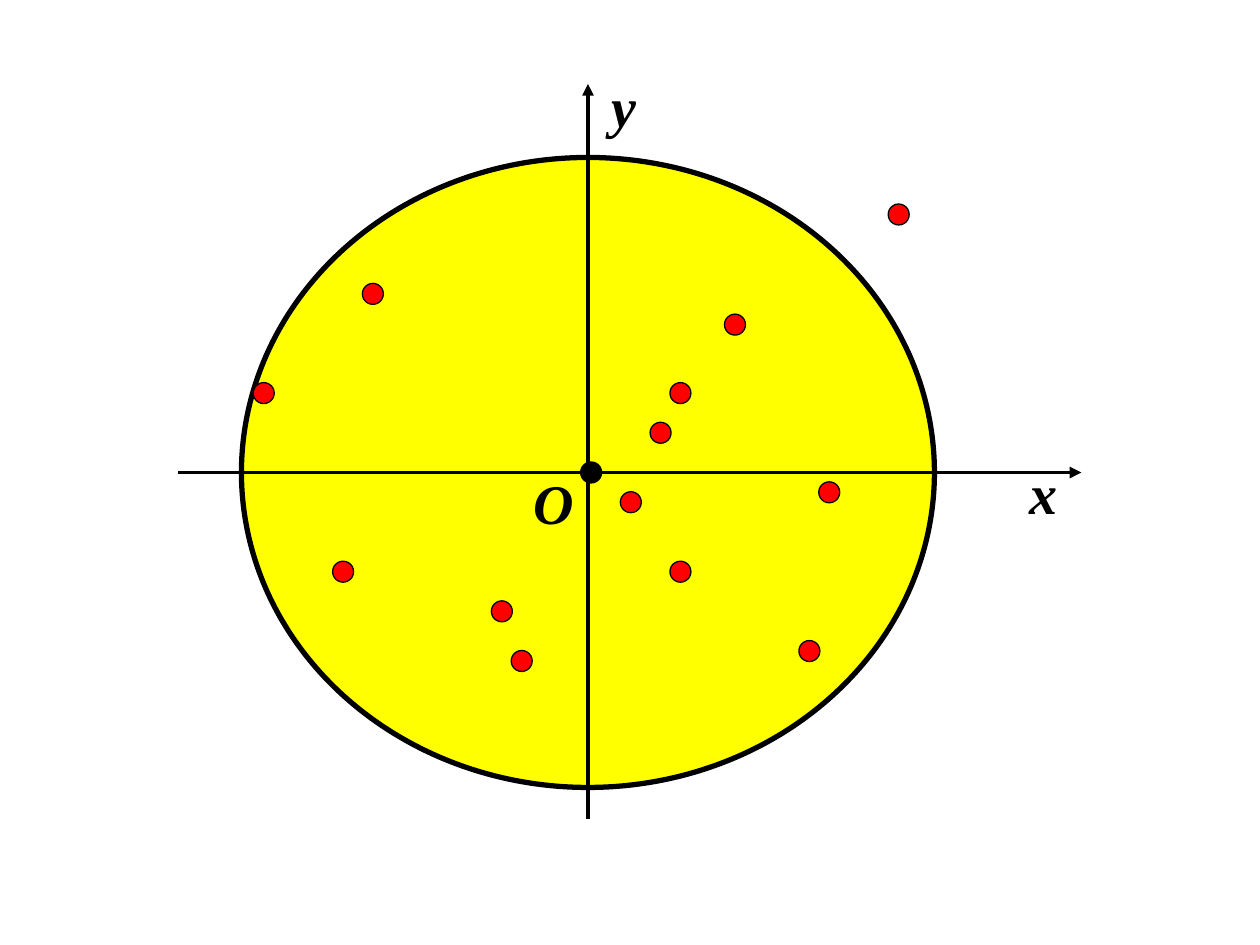
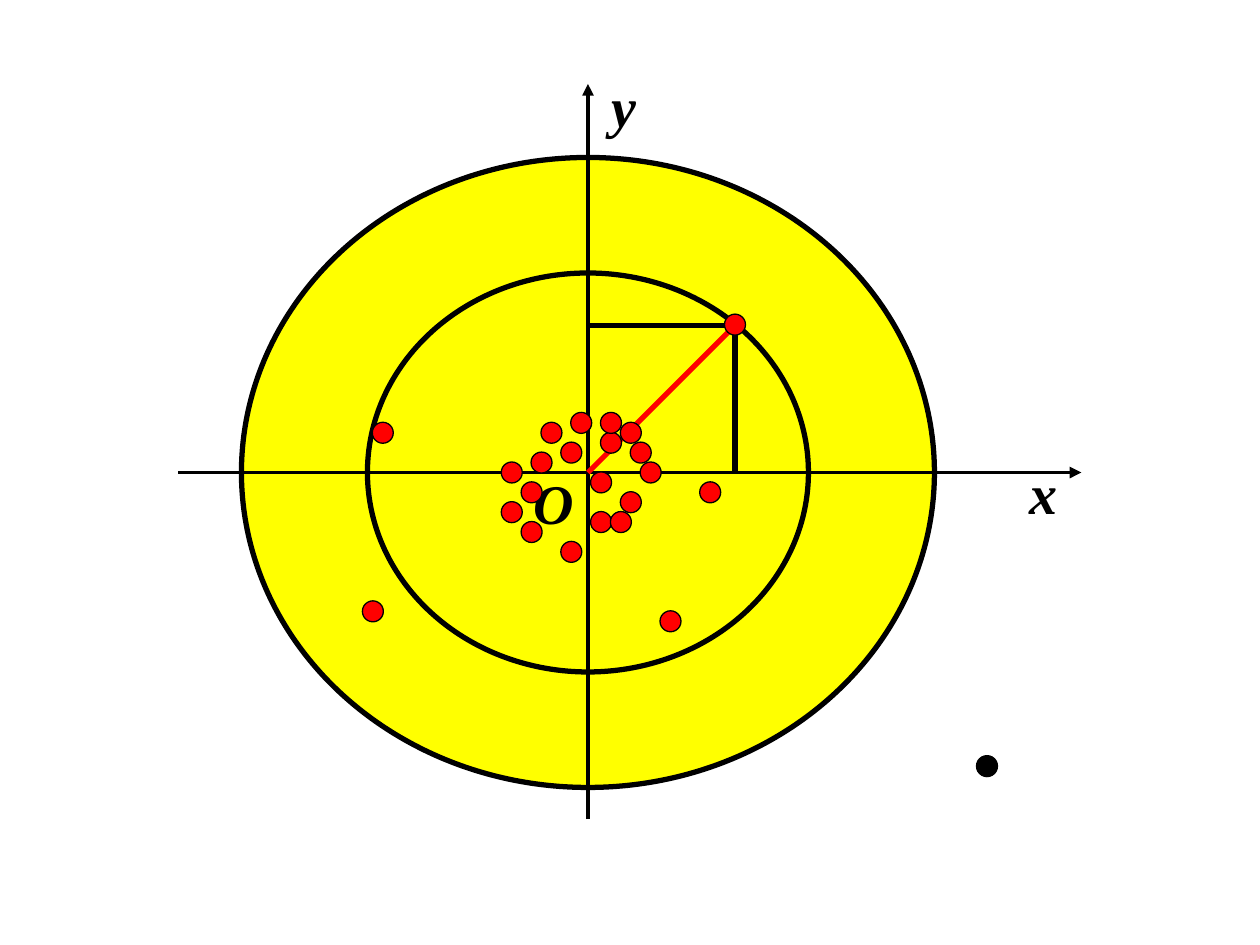
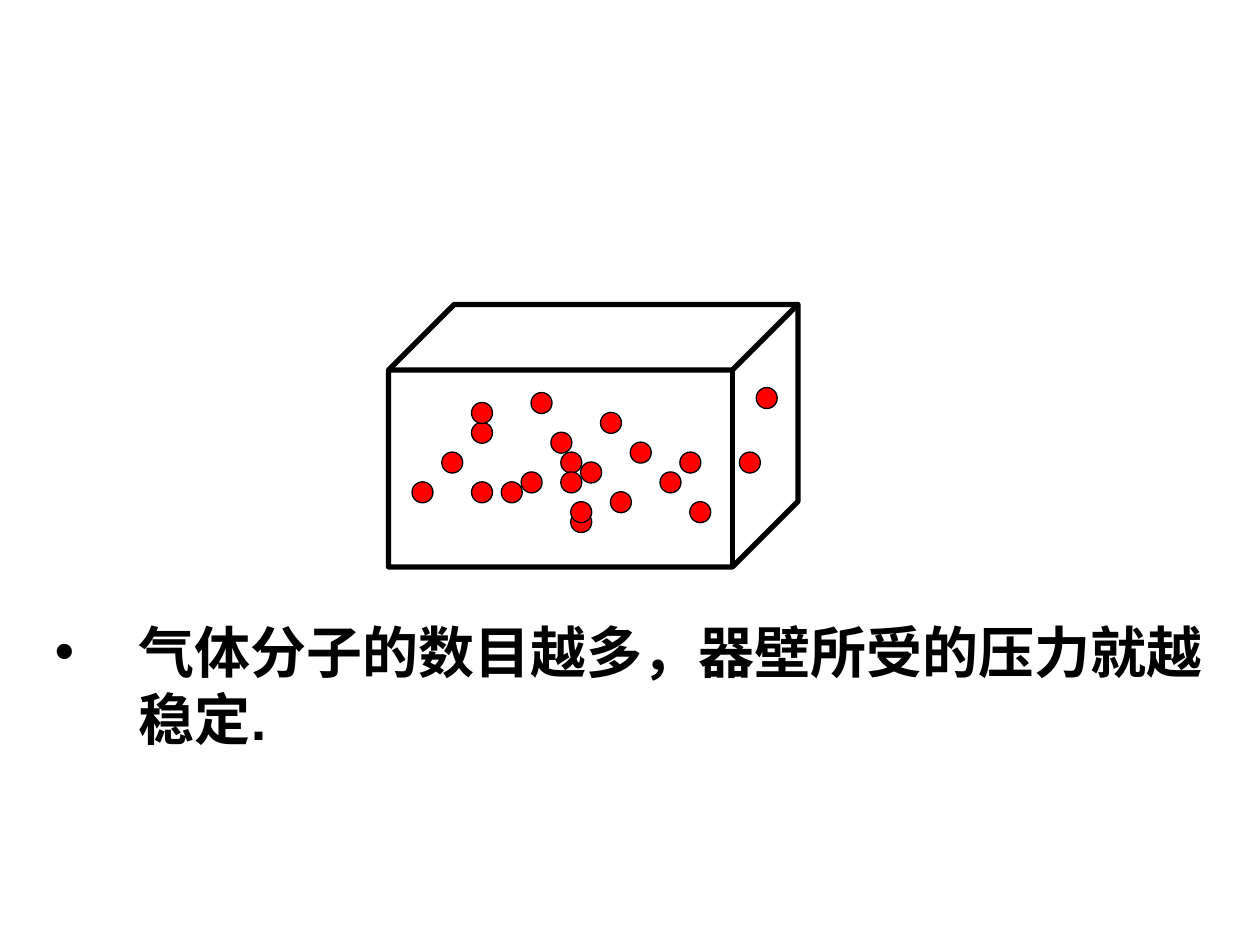
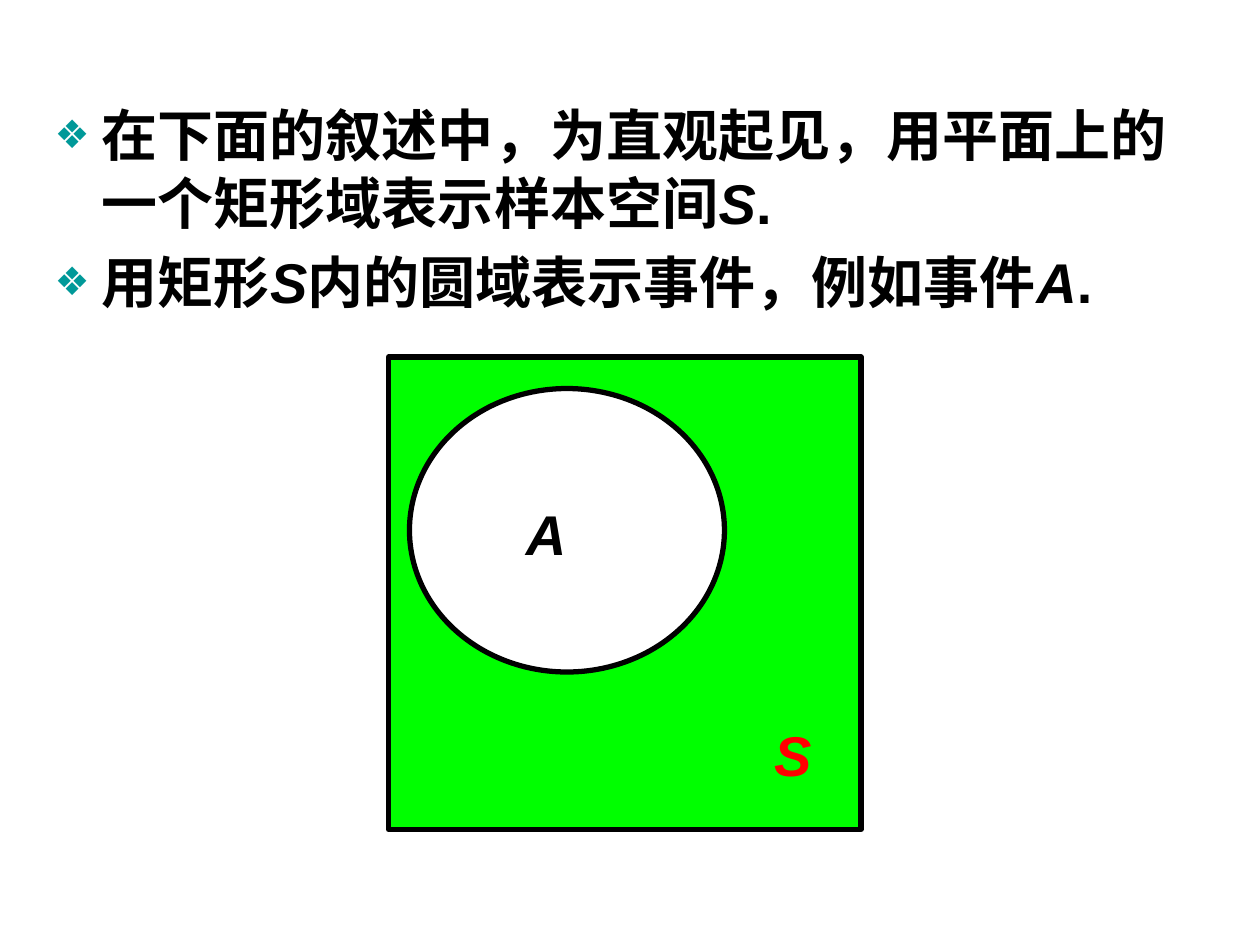
from lxml import etree
from pptx import Presentation
from pptx import util as u
from pptx.dml.color import RGBColor
from pptx.enum import shapes as sh, text as tx
from pptx.oxml import ns

COLORS = {
    "black": "000000", "white": "FFFFFF", "red": "FF0000",
    "yellow": "FFFF00", "green": "00FF00", "teal": "009999",
}
SERIF, SANS, CJK = "Times New Roman", "Arial", "Noto Sans CJK SC"
COLS, ROWS = 120, 90
CELL = u.Inches(10) / COLS
DOT_STEP = u.Cm(0.2)
DOT_ORIGIN = (55.3, 44)
LIST_LEFT, LIST_WIDTH = 4, 112

PLANE = (17, 8, 86, 70)
CORNER = (14.5, -14.9)
SCATTERED = [
    (9, -8), (7, -4), (24, 2), (-25, 10), (22, 18), (-22, -18), CORNER,
    (-33, -8), (31, -26), (4, 3), (-7, 19), (9, 10), (-9, 14),
]
CLUSTERED = [
    CORNER, (4, -4), (6, 0), (-2, -2), (4, 3), (-2, 8), (-6, 6), (1, 1),
    (-6, 2), (-5, -1), (1, 5), (3, 5), (-1, -5), (2, -3), (-4, -4), (5, -2),
    (-8, 4), (-8, 0), (2, -5), (-22, 14), (12, 2), (-21, -4), (8, 15),
]
MOLECULES = [
    (17.7, -7.5), (16, -1), (10, -1), (-6, 1), (2, -5), (-3, -3), (-5, -7),
    (5, -2), (8, 1), (11, 4), (0, 0), (3, 3), (-11, -4), (-2, -1), (-11, 2),
    (-2, 1), (-1, 5), (-8, 2), (-17, 2), (-14, -1), (-1, 4), (-11, -6),
]


def grid(*cells):
    """Turn grid cells into lengths."""
    return [u.Emu(round(c * CELL)) for c in cells]


def rgb(name):
    """Look up a named colour."""
    return RGBColor.from_string(COLORS[name])


def add_xml(parent, tag, **attrs):
    """Append a drawing element with its attributes."""
    return etree.SubElement(parent, ns.qn(tag), attrs)


def add_run(p, text, font=SANS, size=32, color="black", bold=True, italic=False):
    """Add a formatted run to a paragraph."""
    r = p.add_run()
    r.text = text
    f = r.font
    f.size, f.bold, f.italic = u.Pt(size), bold, italic
    f.color.rgb = rgb(color)
    f.name = font
    add_xml(r.font._element, "a:ea", typeface=CJK)


def add_label(parent, text, box, **fmt):
    """Add a centred one-letter label."""
    sp = parent.shapes.add_textbox(*grid(*box))
    tf = sp.text_frame
    tf.word_wrap = False
    tf.auto_size = tx.MSO_AUTO_SIZE.SHAPE_TO_FIT_TEXT
    p = tf.paragraphs[0]
    p.alignment = tx.PP_ALIGN.CENTER
    add_run(p, text, italic=True, **fmt)


def add_outline(parent, kind, box, fill=None, width=3):
    """Add a black-edged preset shape."""
    sp = parent.shapes.add_shape(kind, *grid(*box))
    sp.shadow.inherit = False
    if fill:
        sp.fill.solid()
        sp.fill.fore_color.rgb = rgb(fill)
    else:
        sp.fill.background()
    sp.line.color.rgb = rgb("black")
    sp.line.width = u.Pt(width)
    return sp


def add_line(s, start, end, color="black", width=3, arrow=False):
    """Add a straight line, with an arrowhead if asked."""
    c = s.shapes.add_connector(sh.MSO_CONNECTOR.STRAIGHT, *grid(*start, *end))
    c.line.color.rgb = rgb(color)
    c.line.width = u.Pt(width)
    if arrow:
        add_xml(c.line._get_or_add_ln(), "a:tailEnd", type="triangle")
    add_xml(c._element.spPr, "a:effectLst")


def add_dots(s, spots, color="red"):
    """Add small dots counted in steps from the dot origin."""
    step = DOT_STEP / CELL
    x0, y0 = DOT_ORIGIN
    for dx, dy in spots:
        box = (x0 + dx * step, y0 + dy * step, 2, 2)
        add_outline(s, sh.MSO_SHAPE.OVAL, box, color, 0.75)


def add_plane(s, box, inner=False):
    """Draw the target disc, the axes and their names in a box."""
    x, y, w, h = box
    cx, cy = x + 39, y + 37
    radii = [(33, 30), (21, 19)] if inner else [(33, 30)]
    for rx, ry in radii:
        add_outline(s, sh.MSO_SHAPE.OVAL, (cx - rx, cy - ry, 2 * rx, 2 * ry), "yellow")
    add_line(s, (x, cy), (x + w, cy), width=2.25, arrow=True)
    add_line(s, (cx, y + h), (cx, y), width=2.25, arrow=True)
    for name, dx, dy, width in [("x", 40.9, -1.9, 5), ("O", -6.4, -1, 6.2), ("y", 1.1, -38.8, 4)]:
        add_label(s, name, (cx + dx, cy + dy, width, 7.6), font=SERIF)
    return cx, cy


def add_projection(s, origin, reach=14):
    """Draw a radius to a point and the point's distances to the axes."""
    x, y = origin
    tip = (x + reach, y - reach)
    add_line(s, origin, tip, "red")
    add_line(s, tip, (x, y - reach))
    add_line(s, tip, (x + reach, y))


def fill_list(sp, top, height, runs, indent=None, diamond=False):
    """Place a body placeholder and write one bulleted paragraph."""
    sp.left, sp.top, sp.width, sp.height = grid(LIST_LEFT, top, LIST_WIDTH, height)
    tf = sp.text_frame
    tf.auto_size = tx.MSO_AUTO_SIZE.NONE
    p = tf.paragraphs[0]
    for text, fmt in runs:
        add_run(p, text, **fmt)
    pPr = p._p.get_or_add_pPr()
    if indent:
        pad = grid(indent)[0]
        pPr.set("marL", str(pad))
        pPr.set("indent", str(-pad))
    if diamond:
        add_xml(add_xml(pPr, "a:buClr"), "a:srgbClr", val=COLORS["teal"])
        add_xml(pPr, "a:buSzPct", val="70000")
        add_xml(pPr, "a:buFont", typeface=SANS)
        add_xml(pPr, "a:buChar", char="❖")


def add_slide(prs, layout):
    """Add a slide without its title and return it with its body placeholders."""
    s = prs.slides.add_slide(prs.slide_layouts[layout])
    title = s.shapes.title
    if title is not None:
        title._element.getparent().remove(title._element)
    return s, list(s.placeholders)


def scattered_slide(prs):
    """Build the disc with widely scattered hits."""
    s, _ = add_slide(prs, 6)
    add_plane(s, PLANE)
    add_dots(s, [(0, 0)], "black")
    add_dots(s, SCATTERED)


def clustered_slide(prs):
    """Build the disc with hits gathered near the centre."""
    s, _ = add_slide(prs, 6)
    add_projection(s, add_plane(s, PLANE, inner=True))
    add_dots(s, [(39.9, 29.6)], "black")
    add_dots(s, CLUSTERED)


def gas_slide(prs):
    """Build the box of gas molecules with its statement."""
    s, (body,) = add_slide(prs, 1)
    add_outline(s, sh.MSO_SHAPE.CUBE, (37, 29, 39, 25))
    add_dots(s, MOLECULES)
    fill_list(body, 58.2, 18.7, [("气体分子的数目越多，器壁所受的压力就越稳定.", {})], indent=8)


def add_venn(s, box):
    """Draw the sample space and the event inside it."""
    x, y, w, h = box
    space = s.shapes.add_group_shape()
    add_outline(space, sh.MSO_SHAPE.RECTANGLE, box, "green")
    add_label(space, "S", (x + w - 10, y + h - 11, 7, 7.6), color="red")
    event = s.shapes.add_group_shape()
    add_outline(event, sh.MSO_SHAPE.OVAL, (x + 2, y + 3, 30, 27), "white")
    add_label(event, "A", (x + 10, y + 13, 10, 7.6))


def venn_slide(prs):
    """Build the Venn diagram slide with its two statements."""
    s, (first, second) = add_slide(prs, 3)
    han, var = {"font": CJK}, {"italic": True}
    fill_list(first, 9, 13.3, [
        ("在下面的叙述中，为直观起见，用平面上的一个矩形域表示样本空间", han),
        ("S", var), (".", {}),
    ], diamond=True)
    fill_list(second, 23, 7, [
        ("用矩形", han), ("S", var), ("内的圆域表示事件，例如事件", han),
        ("A", var), (".", {}),
    ], diamond=True)
    add_venn(s, (37, 34, 45, 45))


def main():
    """Build and save the slides."""
    prs = Presentation()
    prs.slide_width, prs.slide_height = grid(COLS, ROWS)
    for build in (scattered_slide, clustered_slide, gas_slide, venn_slide):
        build(prs)
    prs.save("out.pptx")


if __name__ == "__main__":
    main()
